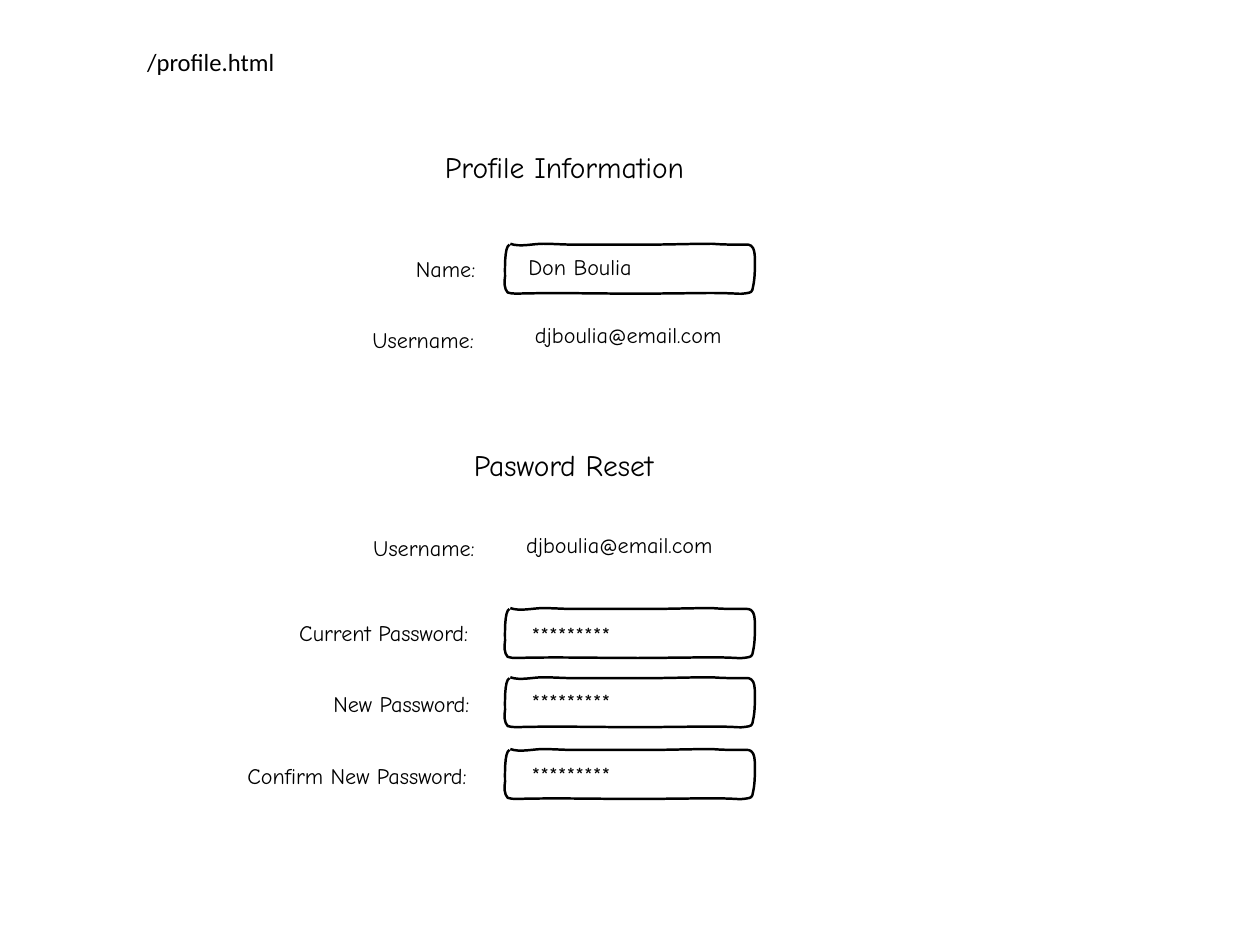
"""Build the wireframe slide of the profile page."""
from lxml import etree
from pptx import Presentation
from pptx.dml.color import RGBColor
from pptx.enum import text
from pptx.oxml import ns
from pptx.util import Inches, Pt

BLACK = RGBColor(0, 0, 0)
WHITE = RGBColor(255, 255, 255)
HAND_FONT = "Comic Neue"
FIELD_LEFT = 5.69
FIELD_TOPS = (2.75, 6.86, 7.64, 8.45)
FIELD_START = (0.07, 0)
FIELD_CURVES = (
    ((0.18, 0.04), (0.32, 0), (0.44, 0)),
    ((0.55, 0), (0.67, 0.01), (0.79, 0.01)),
    ((1.06, 0.01), (1.34, 0.01), (1.61, 0.01)),
    ((1.85, 0.01), (2.1, 0), (2.35, 0)),
    ((2.46, 0.01), (2.58, 0.01), (2.69, 0.01)),
    ((2.75, 0.01), (2.78, 0), (2.81, 0.05)),
    ((2.83, 0.09), (2.83, 0.16), (2.83, 0.19)),
    ((2.83, 0.29), (2.83, 0.39), (2.81, 0.48)),
    ((2.8, 0.55), (2.79, 0.55), (2.72, 0.56)),
    ((2.66, 0.57), (2.61, 0.56), (2.56, 0.56)),
    ((2.33, 0.55), (2.09, 0.56), (1.86, 0.56)),
    ((1.32, 0.57), (0.78, 0.55), (0.25, 0.56)),
    ((0.19, 0.56), (0.09, 0.57), (0.04, 0.55)),
    ((0, 0.51), (0, 0.43), (0.01, 0.37)),
    ((0.01, 0.31), (0, 0.03), (0.06, 0.01)),
)
HEADINGS = (
    ("Profile Information", 4.97, 1.64, 2.8),
    ("Pasword Reset", 5.29, 5, 2.14),
)
ENTRIES = (
    ("Name:", 4.65, 2.84, 0.76),
    ("Don Boulia", 5.92, 2.82, 1.25),
    ("Username:", 4.16, 3.64, 1.23),
    ("djboulia@email.com", 5.99, 3.59, 2.2),
    ("Username:", 4.17, 5.99, 1.23),
    ("djboulia@email.com", 5.89, 5.95, 2.2),
    ("Current Password:", 3.32, 6.95, 2.02),
    ("*********", 5.96, 6.97, 0.97),
    ("New Password:", 3.71, 7.75, 1.64),
    ("*********", 5.96, 7.72, 0.97),
    ("Confirm New Password:", 2.74, 8.56, 2.58),
    ("*********", 5.96, 8.55, 0.97),
)

prs = Presentation()
prs.slide_width, prs.slide_height = Inches(14.22), Inches(10.66)
slide = prs.slides.add_slide(prs.slide_layouts[5])

page_path = slide.shapes.title
page_path.left, page_path.top = Inches(1.56), Inches(0.48)
page_path.width, page_path.height = Inches(1.83), Inches(0.44)
page_frame = page_path.text_frame
page_frame.text = "/profile.html"
page_frame.word_wrap = True
page_frame.auto_size = text.MSO_AUTO_SIZE.NONE
page_frame.vertical_anchor = text.MSO_ANCHOR.TOP
page_line = page_frame.paragraphs[0]
page_line.alignment = text.PP_ALIGN.LEFT
page_line.font.name, page_line.font.size = "Calibri", Pt(20)
page_line.font.color.rgb = BLACK

outline = [FIELD_START] + [point for curve in FIELD_CURVES for point in curve]
for top in FIELD_TOPS:
    points = [(Inches(FIELD_LEFT + x), Inches(top + y)) for x, y in outline]
    builder = slide.shapes.build_freeform(*points[0])
    builder.add_line_segments(points[1:], close=False)
    field = builder.convert_to_shape()
    segments = list(field.element.iter(ns.qn("a:lnTo")))
    contour = segments[0].getparent()
    for first in range(0, len(segments), 3):
        curve = etree.SubElement(contour, ns.qn("a:cubicBezTo"))
        for segment in segments[first:first + 3]:
            curve.append(segment[0])
            contour.remove(segment)
    field.shadow.inherit = False
    field.fill.solid()
    field.fill.fore_color.rgb = WHITE
    field.line.color.rgb = BLACK
    field.line.width = Pt(2)

for rows, size, height in ((HEADINGS, 24, 0.48), (ENTRIES, 18, 0.38)):
    for wording, left, top, width in rows:
        entry = slide.shapes.add_textbox(Inches(left), Inches(top), Inches(width), Inches(height))
        frame = entry.text_frame
        frame.margin_left = frame.margin_right = Inches(0.04)
        frame.margin_top = frame.margin_bottom = Inches(0.04)
        frame.vertical_anchor = text.MSO_ANCHOR.MIDDLE
        frame.word_wrap = False
        frame.auto_size = text.MSO_AUTO_SIZE.SHAPE_TO_FIT_TEXT
        frame.text = wording
        line = frame.paragraphs[0]
        line.alignment = text.PP_ALIGN.CENTER
        line.font.name, line.font.size = HAND_FONT, Pt(size)
        line.font.color.rgb = BLACK

prs.save("out.pptx")
